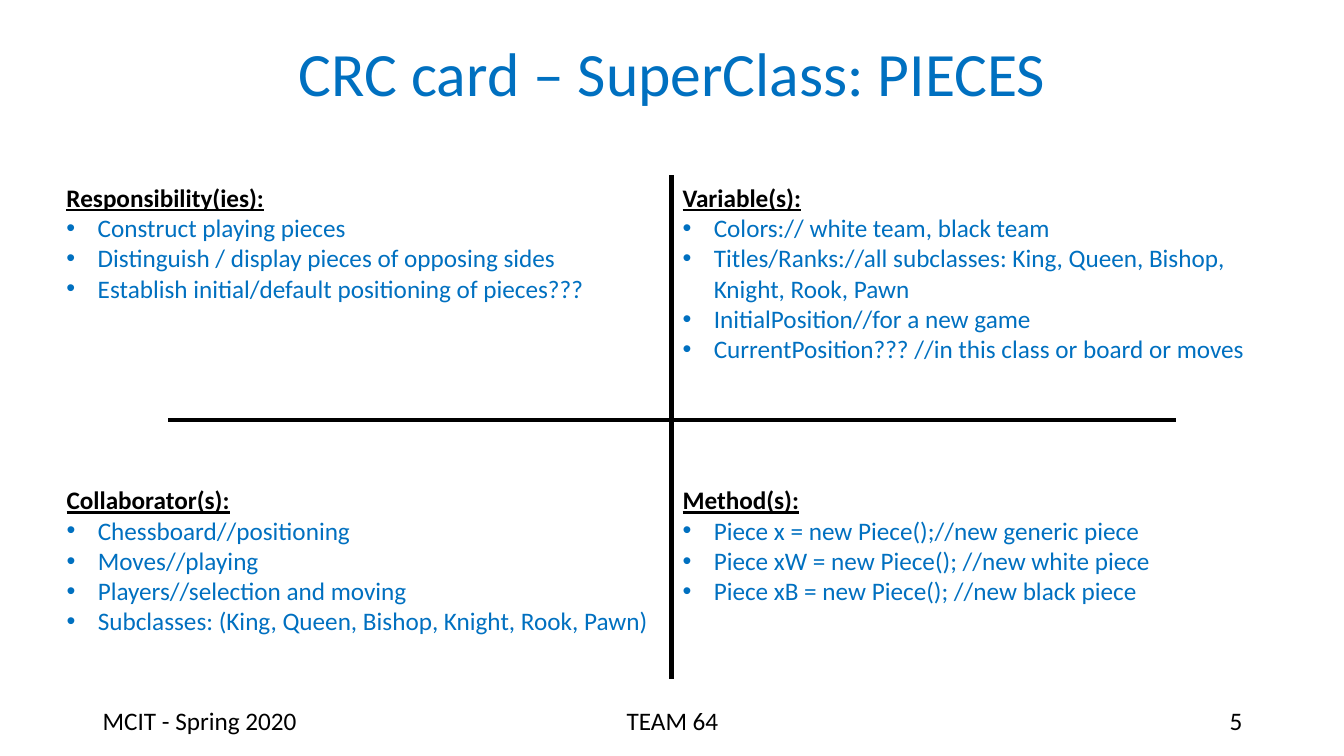
from lxml import etree
from pptx import Presentation
from pptx.dml.color import RGBColor
from pptx.enum.shapes import MSO_CONNECTOR
from pptx.enum.text import MSO_ANCHOR, PP_ALIGN
from pptx.oxml.ns import qn
from pptx.util import Pt

PX = 9144
LEFT, MID, RIGHT = PP_ALIGN.LEFT, PP_ALIGN.CENTER, PP_ALIGN.RIGHT
BLUE, BLACK = "0070C0", "000000"
HEAD = {"size": Pt(18), "name": "Calibri", "bold": True, "underline": True}
BODY = {"size": Pt(18), "name": "Calibri"}
TITLE = {"size": Pt(44), "name": "Calibri"}


def paint(target, code):
    target.rgb = RGBColor.from_string(code)


def write(par, text, form, code, align=LEFT):
    par.alignment = align
    run = par.add_run()
    run.text = text
    for key, val in form.items():
        setattr(run.font, key, val)
    paint(run.font.color, code)


deck = Presentation()
deck.slide_width, deck.slide_height = 1333 * PX, 750 * PX
slide = deck.slides.add_slide(deck.slide_layouts[5])

title = slide.shapes.title
place = {"left": 92, "top": 3, "width": 1150, "height": 145}
for key, val in place.items():
    setattr(title, key, val * PX)
frame = title.text_frame
frame.vertical_anchor = MSO_ANCHOR.MIDDLE
frame.word_wrap = True
frame.paragraphs[0].line_spacing = 0.9
write(frame.paragraphs[0], "CRC card – SuperClass: PIECES", TITLE, BLUE, MID)

cross = slide.shapes.add_group_shape()
for ends in [(666, 174, 666, 674), (167, 417, 1166, 417)]:
    rule = cross.shapes.add_connector(MSO_CONNECTOR.STRAIGHT, *[n * PX for n in ends])
    rule.line.width = Pt(3)
    paint(rule.line.color, BLACK)
    etree.SubElement(rule._element.spPr, qn("a:effectLst"))

cards = [
    (0, 0, 550, "Responsibility(ies):", [
        "Construct playing pieces",
        "Distinguish / display pieces of opposing sides",
        "Establish initial/default positioning of pieces???"]),
    (0, 1, 591, "Collaborator(s):", [
        "Chessboard//positioning",
        "Moves//playing",
        "Players//selection and moving",
        "Subclasses: (King, Queen, Bishop, Knight, Rook, Pawn)"]),
    (1, 0, 600, "Variable(s):", [
        "Colors:// white team, black team",
        "Titles/Ranks://all subclasses: King, Queen, Bishop, Knight, Rook, Pawn",
        "InitialPosition//for a new game",
        "CurrentPosition??? //in this class or board or moves"]),
    (1, 1, 550, "Method(s):", [
        "Piece x = new Piece();//new generic piece",
        "Piece xW = new Piece(); //new white piece",
        "Piece xB = new Piece(); //new black piece"]),
]
for col, row, wide, head, items in cards:
    box = slide.shapes.add_textbox(
        (61 + 611 * col) * PX, (176 + 300 * row) * PX, wide * PX, 200 * PX)
    frame = box.text_frame
    frame.word_wrap = True
    for side in ("left", "top", "right", "bottom"):
        setattr(frame, "margin_" + side, 5 * PX)
    write(frame.paragraphs[0], head, HEAD, BLACK)
    for item in items:
        par = frame.add_paragraph()
        write(par, item, BODY, BLUE)
        props = par._p.get_or_add_pPr()
        props.set("marL", str(31 * PX))
        props.set("indent", str(-31 * PX))
        tint = etree.SubElement(props, qn("a:buClr"))
        etree.SubElement(tint, qn("a:srgbClr"), val=BLUE)
        etree.SubElement(props, qn("a:buFont"), typeface="Arial")
        etree.SubElement(props, qn("a:buChar"), char="•")

feet = [
    (92, 300, "MCIT - Spring 2020", LEFT),
    (442, 450, "TEAM 64", MID),
    (942, 300, "5", RIGHT),
]
for left, wide, text, align in feet:
    box = slide.shapes.add_textbox(left * PX, 695 * PX, wide * PX, 40 * PX)
    box.text_frame.word_wrap = True
    write(box.text_frame.paragraphs[0], text, BODY, BLACK, align)

deck.save("out.pptx")
